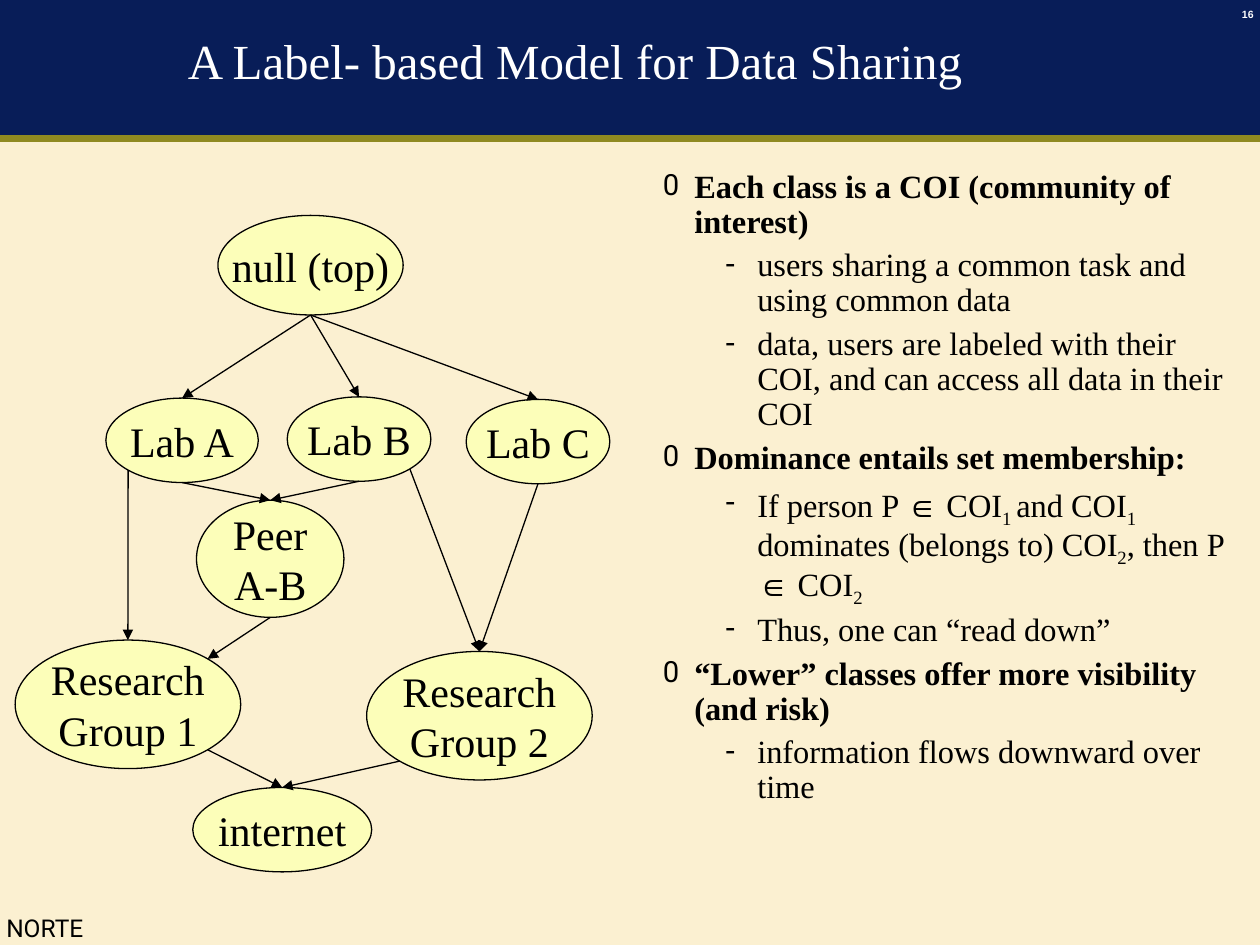
from math import cos, radians, sin

from lxml import etree
from pptx import Presentation
from pptx.dml.color import RGBColor
from pptx.enum.shapes import MSO_CONNECTOR, MSO_SHAPE
from pptx.enum.text import MSO_ANCHOR, MSO_AUTO_SIZE, PP_ALIGN
from pptx.oxml.ns import qn
from pptx.util import Inches, Pt

RECTANGLE, ELLIPSE = MSO_SHAPE.RECTANGLE, MSO_SHAPE.OVAL
STRAIGHT = MSO_CONNECTOR.STRAIGHT
LEFT, CENTER, RIGHT = PP_ALIGN.LEFT, PP_ALIGN.CENTER, PP_ALIGN.RIGHT
TOP, MIDDLE, BOTTOM = MSO_ANCHOR.TOP, MSO_ANCHOR.MIDDLE, MSO_ANCHOR.BOTTOM
NO_FIT = MSO_AUTO_SIZE.NONE

COLORS = {"cream": "FBF0D1", "navy": "081D58", "olive": "8F8A21",
          "node": "FCFEB9", "black": "000000", "white": "FFFFFF"}
SERIF, SANS, ORG_FONT = "Times New Roman", "Arial", "Roboto"

# Content
TITLE = "A Label- based Model for Data Sharing"
PAGE_NUMBER = "16"
ORGANIZATION = "NORTE"

# Level and runs; a run is (text, kind)
POINTS = [
    (0, [("Each class is a COI (community of interest)", "text")]),
    (1, [("users sharing a common task and using common data", "text")]),
    (1, [("data, users are labeled with their COI, and can access all data "
          "in their COI", "text")]),
    (0, [("Dominance entails set membership:", "text")]),
    (1, [("If person P ", "text"), ("∈", "symbol"), (" COI", "text"),
         ("1 ", "sub"), ("and COI", "text"), ("1 ", "sub"),
         ("dominates (belongs to) COI", "text"), ("2", "sub"),
         (", then P ", "text"), ("∈", "symbol"), (" COI", "text"),
         ("2", "sub")]),
    (1, [("Thus, one can “read down”", "text")]),
    (0, [("“Lower” classes offer more visibility (and risk)", "text")]),
    (1, [("information flows downward over time", "text")]),
]
LEVELS = [  # indent, bullet, bullet size in percent, bold
    {"indent": 0.5, "bullet": "0", "percent": 90, "bold": True},
    {"indent": 1.0, "bullet": "-", "percent": 100, "bold": False},
]

# Label, left, top, width, height
CLASSES = {
    "top": ("null (top)", 1.73, 1.71, 1.47, 0.79),
    "lab_a": ("Lab A", 0.84, 3.16, 1.21, 0.67),
    "lab_b": ("Lab B", 2.28, 3.15, 1.14, 0.67),
    "lab_c": ("Lab C", 3.7, 3.17, 1.14, 0.67),
    "peer": ("Peer\nA-B", 1.56, 3.97, 1.17, 0.93),
    "group_1": ("Research\nGroup 1", 0.12, 5.08, 1.79, 1.02),
    "group_2": ("Research\nGroup 2", 2.91, 5.17, 1.79, 1.02),
    "internet": ("internet", 1.53, 6.25, 1.42, 0.67),
}
# Connection sites of an ellipse, counter-clockwise from the top in 45° steps
N, SW, S, SE, NE = 0, 3, 4, 5, 7
FLOWS = [
    ("top", S, "lab_a", N), ("top", S, "lab_b", N), ("top", S, "lab_c", N),
    ("lab_a", S, "peer", N), ("lab_b", S, "peer", N),
    ("lab_a", SW, "group_1", N), ("peer", S, "group_1", NE),
    ("lab_b", SE, "group_2", N), ("lab_c", S, "group_2", N),
    ("group_1", SE, "internet", N), ("group_2", SW, "internet", N),
]


def rgb(name):
    return RGBColor.from_string(COLORS[name])


def set_font(font, name, size, color, bold=False):
    font.name, font.size, font.bold = name, Pt(size), bold
    font.color.rgb = rgb(color)


def place(shape, left, top, width, height):
    shape.left, shape.top = Inches(left), Inches(top)
    shape.width, shape.height = Inches(width), Inches(height)


def set_frame(frame, anchor, margins, wrap=True):
    frame.auto_size, frame.word_wrap, frame.vertical_anchor = NO_FIT, wrap, anchor
    frame.margin_left = frame.margin_right = Inches(margins[0])
    frame.margin_top = frame.margin_bottom = Inches(margins[1])


def write(frame, text, align, font, spacing=None):
    frame.text = text
    for paragraph in frame.paragraphs:
        paragraph.alignment = align
        paragraph.line_spacing = spacing
        for run in paragraph.runs:
            set_font(run.font, *font)


def add_line(slide, start, end, color, width):
    line = slide.shapes.add_connector(STRAIGHT, *map(Inches, start + end))
    line.line.color.rgb, line.line.width = rgb(color), Pt(width)
    etree.SubElement(line._element.spPr, qn("a:effectLst"))
    return line


def add_bullet(paragraph, level):
    p_pr = paragraph._p.get_or_add_pPr()
    p_pr.set("marL", str(Inches(level["indent"])))
    p_pr.set("indent", str(Inches(-0.25)))
    color = etree.SubElement(p_pr, qn("a:buClr"))
    etree.SubElement(color, qn("a:srgbClr"), val=COLORS["black"])
    etree.SubElement(p_pr, qn("a:buSzPct"), val=str(level["percent"] * 1000))
    etree.SubElement(p_pr, qn("a:buFont"), typeface=ORG_FONT)
    etree.SubElement(p_pr, qn("a:buChar"), char=level["bullet"])


def site_point(key, site):
    _, left, top, width, height = CLASSES[key]
    angle = radians(45 * site)
    return (left + width / 2 * (1 - sin(angle)),
            top + height / 2 * (1 - cos(angle)))


def add_header(slide):
    band = slide.shapes.add_shape(RECTANGLE, 0, 0, Inches(10), Inches(1.11))
    band.shadow.inherit = False
    band.fill.solid()
    band.fill.fore_color.rgb = rgb("navy")
    band.line.fill.background()
    slide.shapes._spTree.insert(2, band._element)  # behind the title
    add_line(slide, (0, 1.1), (10, 1.1), "olive", 4)

    title = slide.shapes.title
    place(title, 1.44, 0, 8.56, 0.73)
    set_frame(title.text_frame, BOTTOM, (0.05, 0.02))
    write(title.text_frame, TITLE, LEFT, (SERIF, 28, "white"), 0.87)


def add_label(slide, text, box, margins, wrap, align, font, spacing):
    label = slide.shapes.add_textbox(*map(Inches, box))
    set_frame(label.text_frame, TOP, margins, wrap)
    write(label.text_frame, text, align, font, spacing)


def add_points(slide):
    body = slide.placeholders[1]
    place(body, 4.92, 1.3, 4.92, 5.84)
    frame = body.text_frame
    set_frame(frame, TOP, (0.09, 0.05))
    for index, (depth, runs) in enumerate(POINTS):
        paragraph = frame.add_paragraph() if index else frame.paragraphs[0]
        paragraph.level = depth
        add_bullet(paragraph, LEVELS[depth])
        paragraph.line_spacing = 0.9
        paragraph.space_before = Pt(5 if index else 0)
        for text, kind in runs:
            run = paragraph.add_run()
            run.text = text
            set_font(run.font, SANS if kind == "symbol" else SERIF, 18.5,
                     "black", LEVELS[depth]["bold"])
            if kind == "sub":
                run._r.get_or_add_rPr().set("baseline", "-25000")


def add_diagram(slide):
    nodes = {}
    for key, (label, *box) in CLASSES.items():
        node = nodes[key] = slide.shapes.add_shape(ELLIPSE, *map(Inches, box))
        node.shadow.inherit = False
        node.fill.solid()
        node.fill.fore_color.rgb = rgb("node")
        node.line.color.rgb, node.line.width = rgb("black"), Pt(0.75)
        set_frame(node.text_frame, MIDDLE, (0.1, 0.05), wrap=False)
        write(node.text_frame, label, CENTER, (SERIF, 24, "black"))

    for source, out_site, target, in_site in FLOWS:
        arrow = add_line(slide, site_point(source, out_site),
                         site_point(target, in_site), "black", 0.75)
        etree.SubElement(arrow.line._get_or_add_ln(), qn("a:tailEnd"), type="triangle")
        # Attach both ends to their ellipses
        ends = arrow._element.nvCxnSpPr.cNvCxnSpPr
        for tag, key, site in (("a:stCxn", source, out_site),
                               ("a:endCxn", target, in_site)):
            etree.SubElement(ends, qn(tag), id=str(nodes[key].shape_id), idx=str(site))


def main():
    deck = Presentation()
    deck.slide_width, deck.slide_height = Inches(10), Inches(7.5)
    slide = deck.slides.add_slide(deck.slide_layouts[1])
    slide.background.fill.solid()
    slide.background.fill.fore_color.rgb = rgb("cream")

    add_header(slide)
    add_label(slide, PAGE_NUMBER, (9.26, 0, 0.74, 0.19), (0.05, 0.02), True,
              RIGHT, (SANS, 6, "white", True), 1.47)
    add_label(slide, ORGANIZATION, (-0.04, 7.22, 0.76, 0.3), (0.09, 0.05), False,
              LEFT, (ORG_FONT, 14, "black"), 0.9)
    add_points(slide)
    add_diagram(slide)
    deck.save("out.pptx")


if __name__ == "__main__":
    main()
